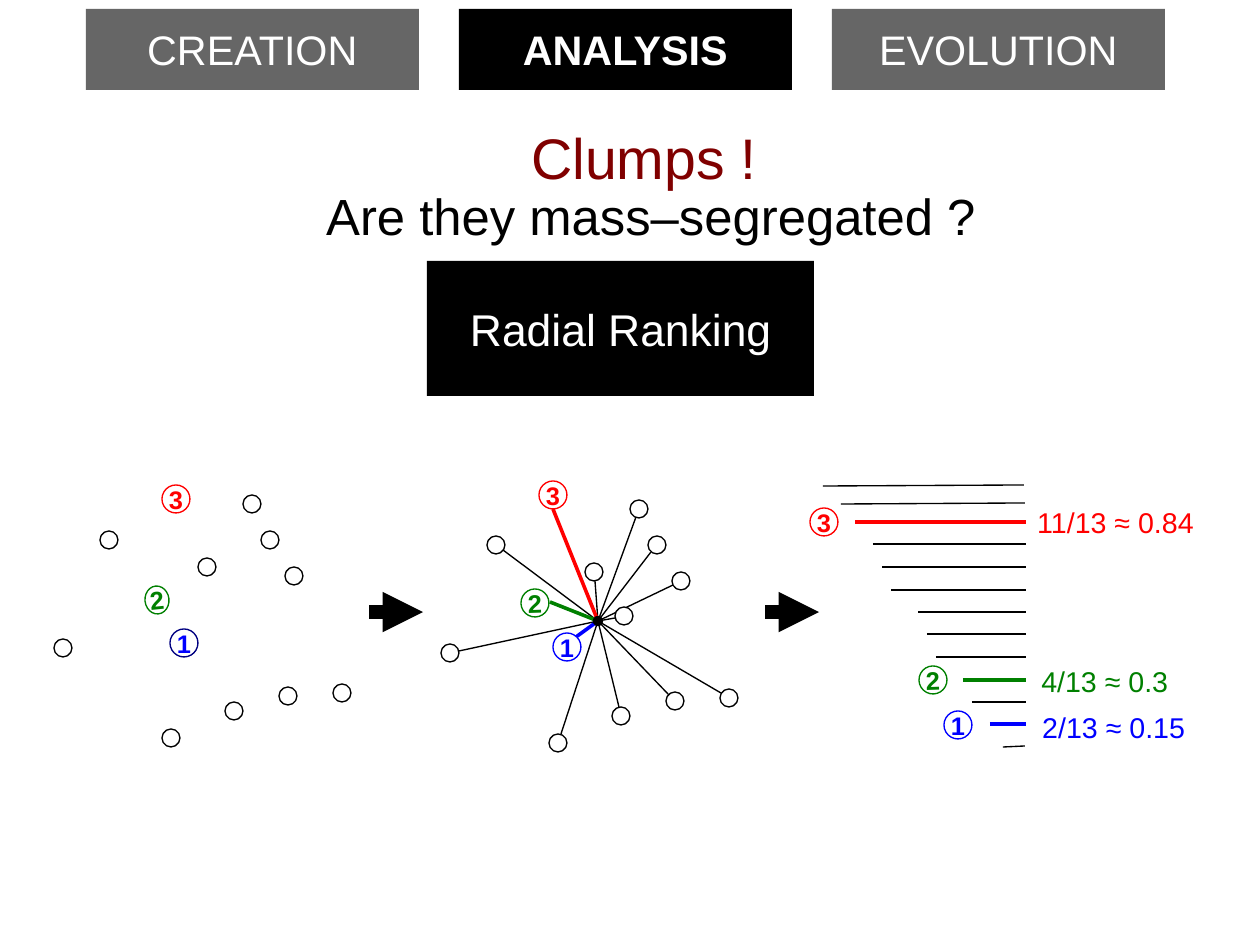
from math import hypot
from pptx import Presentation, util as u
from pptx.dml.color import RGBColor
from pptx.enum import shapes as sh, text as t
from pptx.oxml.ns import qn
from lxml import etree

PX = 8000
HUES = {"black": "000000", "white": "FFFFFF", "grey": "666666", "maroon": "800000",
        "red": "FF0000", "green": "008000", "blue": "0000FF", "navy": "000080"}
RGB = {name: RGBColor.from_string(code) for name, code in HUES.items()}

deck = Presentation()
deck.slide_width, deck.slide_height = 1260 * PX, 945 * PX
slide = deck.slides.add_slide(deck.slide_layouts[5])
items = slide.shapes


def write(shape, words, size, hue, bold=False, side="CENTER", anchor="MIDDLE", wrap=False):
    frame = shape.text_frame
    frame.text = words
    frame.word_wrap = wrap
    frame.auto_size = t.MSO_AUTO_SIZE.NONE
    frame.vertical_anchor = t.MSO_ANCHOR[anchor]
    para = frame.paragraphs[0]
    para.alignment = t.PP_ALIGN[side]
    font = para.runs[0].font
    font.name, font.size, font.bold = "Arial", u.Pt(size), bold
    font.color.rgb = RGB[hue]


def draw(x1, y1, x2, y2, hue="black", width=0.85):
    line = items.add_connector(sh.MSO_CONNECTOR.STRAIGHT, *(round(v) * PX for v in (x1, y1, x2, y2)))
    line.line.color.rgb = RGB[hue]
    line.line.width = u.Pt(width)
    etree.SubElement(line._element.spPr, qn("a:effectLst"))
    return line


# Title
title = items.title
title.left, title.top, title.width, title.height = 509 * PX, 117 * PX, 270 * PX, 75 * PX
write(title, "Clumps !", 36, "maroon", anchor="TOP", wrap=True)

# Section tabs and method box
tabs = [("CREATION", "grey"), ("ANALYSIS", "black"), ("EVOLUTION", "grey")]
boxes = [(86 + 373 * i, 9, 333, 81, fill, words, 26) for i, (words, fill) in enumerate(tabs)]
boxes.append((427, 261, 387, 135, "black", "Radial Ranking", 28))
for x, y, w, h, fill, words, size in boxes:
    box = items.add_shape(sh.MSO_SHAPE.RECTANGLE, x * PX, y * PX, w * PX, h * PX)
    box.shadow.inherit = False
    box.fill.solid()
    box.fill.fore_color.rgb = RGB[fill]
    box.line.fill.background()
    write(box, words, size, "white", bold=words == "ANALYSIS")

# Question and rank ratios
for x, y, w, h, words, size, hue in [
        (315, 179, 711, 69, "Are they mass–segregated ?", 32, "black"),
        (1026, 499, 189, 43, "11/13 ≈ 0.84", 18, "red"),
        (1030, 658, 185, 43, "4/13 ≈ 0.3", 18, "green"),
        (1031, 704, 202, 43, "2/13 ≈ 0.15", 18, "blue")]:
    note = items.add_textbox(x * PX, y * PX, w * PX, h * PX)
    write(note, words, size, hue, side="LEFT", anchor="TOP", wrap=True)

# Stars of the clump, then the same stars moved to the middle panel
left = [(63, 648), (109, 540), (207, 567), (252, 504), (270, 540),
        (294, 576), (234, 711), (171, 738), (288, 696), (342, 693)]
mid = [(x + 387, y + 5) for x, y in left] + [(624, 616)]

# Spokes from each star's rim to the hub
hub = (598, 621)
for x, y in mid:
    dx, dy = hub[0] - x, hub[1] - y
    part = 9 / hypot(dx, dy)
    draw(x + dx * part, y + dy * part, *hub)
for x, y, hue in [(553, 509, "red"), (550, 602, "green"), (576, 637, "blue")]:
    draw(x, y, *hub, hue, 2.27)

# Radii sorted by length
tints = {0: "red", 7: "green", 9: "blue"}
for i, x in enumerate([855, 873, 882, 891, 918, 927, 936, 963, 972, 990]):
    y = 522 + 22.5 * i
    draw(x, y, 1026, y, tints.get(i, "black"), 2.27 if i in tints else 0.85)
for x, y, end in [(823, 486, 1024), (841, 504, 1025), (1003, 747, 1025)]:
    draw(x, y, end, y - 1)

# Circles: centre, width, height, fill, edge, tilt, number, number colour
rings = [(x, y, 18, 18, "white", "black", 0, "", "") for x, y in left + mid]
rings.append((*hub, 9, 9, "black", "black", 0, "", ""))
rings += [(x, y, w, 28, "white", edge, tilt, num, hue) for x, y, w, edge, tilt, num, hue in [
    (176, 499, 28, "red", 0, "3", "red"),
    (157, 600, 24, "green", 354.2, "2", "green"),
    (184, 643, 28, "navy", 0, "1", "blue"),
    (553, 495, 28, "red", 0, "3", "red"),
    (535, 603, 28, "green", 358, "2", "green"),
    (567, 647, 28, "blue", 0, "1", "blue"),
    (824, 522, 28, "red", 0, "3", "red"),
    (933, 680, 28, "green", 358, "2", "green"),
    (958, 725, 28, "blue", 0, "1", "blue")]]
for x, y, w, h, fill, edge, tilt, num, hue in rings:
    ring = items.add_shape(sh.MSO_SHAPE.OVAL, int((x - w / 2) * PX), int((y - h / 2) * PX), w * PX, h * PX)
    ring.shadow.inherit = False
    ring.fill.solid()
    ring.fill.fore_color.rgb = RGB[fill]
    ring.line.color.rgb = RGB[edge]
    ring.line.width = u.Pt(0.85)
    ring.rotation = tilt
    if num:
        write(ring, num, 16, hue, bold=True)
        frame = ring.text_frame
        frame.margin_left = frame.margin_right = frame.margin_top = frame.margin_bottom = 0

# Arrows between panels
for x in (369, 765):
    arrow = draw(x, 612, x + 54, 612, width=8.5)
    etree.SubElement(arrow.line._get_or_add_ln(), qn("a:tailEnd"), type="triangle")

deck.save("out.pptx")
